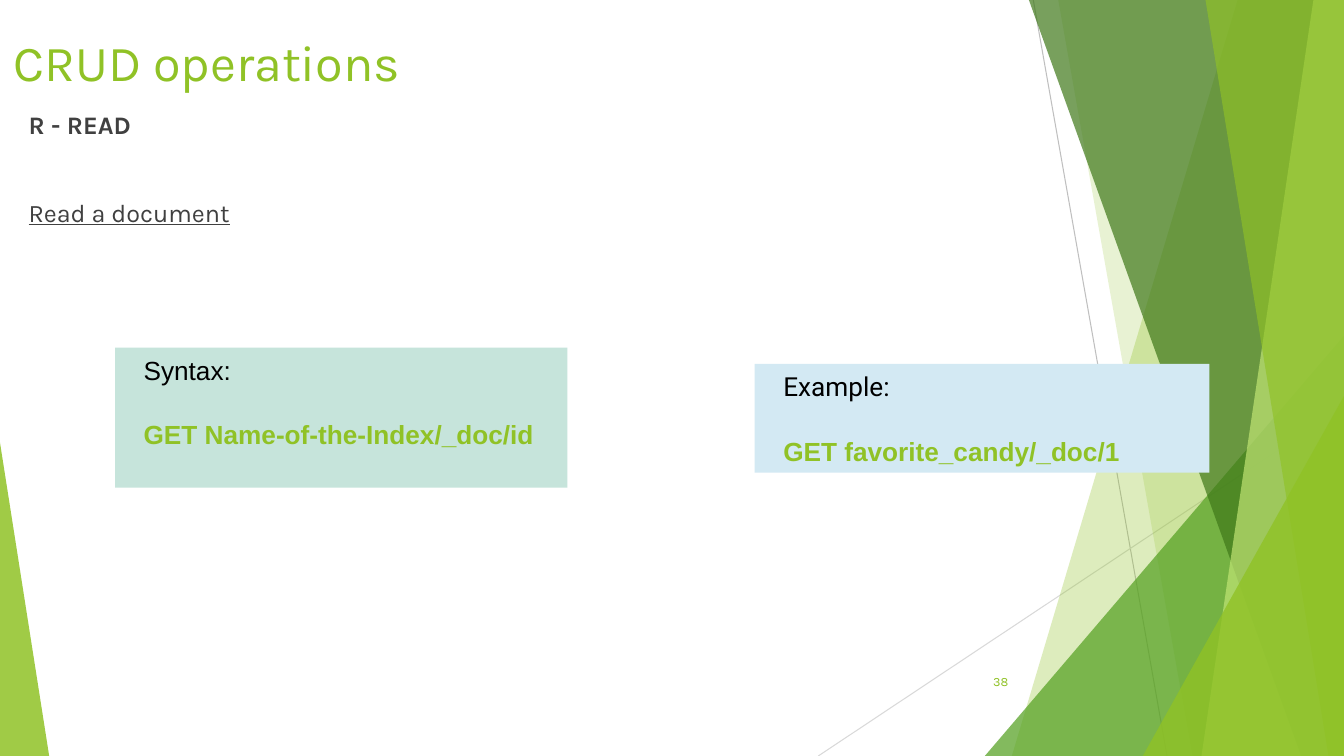
import pptx
import pptx.dml.color
import pptx.enum.shapes
import pptx.enum.text
import pptx.oxml
import pptx.oxml.ns
import pptx.util

Cm = pptx.util.Cm
Pt = pptx.util.Pt
RGBColor = pptx.dml.color.RGBColor
Anchor = pptx.enum.text.MSO_ANCHOR
Align = pptx.enum.text.PP_ALIGN
Preset = pptx.enum.shapes.MSO_SHAPE

WIDTH, HEIGHT = 33.87, 19.05
LIME = RGBColor(0x90, 0xC2, 0x26)
PALE_LIME = RGBColor(0xC0, 0xE4, 0x74)
GREEN = RGBColor(0x54, 0xA0, 0x21)
DARK_GREEN = RGBColor(0x3F, 0x78, 0x19)
BLUE = RGBColor(0xD3, 0xE9, 0xF3)
MINT = RGBColor(0xC6, 0xE4, 0xDB)
GRAY = RGBColor(0xBF, 0xBF, 0xBF)
LIGHT_GRAY = RGBColor(0xD9, 0xD9, 0xD9)
CHARCOAL = RGBColor(0x40, 0x40, 0x40)
BLACK = RGBColor(0, 0, 0)


class SlideBuilder:
    font = "Karla"
    margin = 0.34
    indent = 0.38

    def __init__(self, slide):
        self.slide = slide
        self.shapes = slide.shapes

    def paint(self, shape, color, opacity=100):
        shape.shadow.inherit = False
        shape.line.fill.background()
        shape.fill.solid()
        shape.fill.fore_color.rgb = color
        if opacity < 100:
            fill = shape._element.spPr.find(pptx.oxml.ns.qn("a:solidFill"))
            alpha = pptx.oxml.parse_xml(
                f'<a:alpha {pptx.oxml.ns.nsdecls("a")} val="{opacity * 1000}"/>')
            fill[0].append(alpha)

    def line(self, start_x, start_y, end_x, end_y, color):
        connector = self.shapes.add_connector(
            pptx.enum.shapes.MSO_CONNECTOR.STRAIGHT,
            Cm(start_x), Cm(start_y), Cm(end_x), Cm(end_y))
        connector.line.color.rgb = color
        connector.line.width = Pt(0.75)
        connector._element.spPr.append(pptx.oxml.parse_xml(
            f'<a:effectLst {pptx.oxml.ns.nsdecls("a")}/>'))

    def band(self, top_left, bottom_left, color, opacity):
        """Full-height band from a slanted left side to the right slide edge."""
        builder = self.shapes.build_freeform(Cm(top_left), 0, scale=1.0)
        corners = [(WIDTH, 0), (WIDTH, HEIGHT), (bottom_left, HEIGHT)]
        builder.add_line_segments([(Cm(x), Cm(y)) for x, y in corners])
        self.paint(builder.convert_to_shape(), color, opacity)

    def wedge(self, left, top, right, apex, color, opacity):
        """Right triangle standing on the bottom slide edge."""
        shape = self.shapes.add_shape(
            Preset.ISOSCELES_TRIANGLE,
            Cm(left), Cm(top), Cm(right - left), Cm(HEIGHT - top))
        shape.adjustments[0] = apex
        self.paint(shape, color, opacity)

    def text(self, box, paragraphs, anchor=Anchor.TOP):
        shape = self.shapes.add_textbox(*map(Cm, box))
        self.fill_text(shape, paragraphs, anchor, self.margin)

    def panel(self, box, color, paragraphs):
        shape = self.shapes.add_shape(Preset.RECTANGLE, *map(Cm, box))
        self.paint(shape, color)
        self.fill_text(shape, paragraphs, Anchor.TOP, self.margin / 2)

    def fill_text(self, shape, paragraphs, anchor, vertical_margin):
        frame = shape.text_frame
        frame.word_wrap = True
        frame.vertical_anchor = anchor
        frame.margin_left = frame.margin_right = Cm(self.margin)
        frame.margin_top = frame.margin_bottom = Cm(vertical_margin)
        for index, (text, font, layout) in enumerate(paragraphs):
            paragraph = frame.add_paragraph() if index else frame.paragraphs[0]
            layout = {"alignment": Align.LEFT, "indent": self.indent, **layout}
            indent = layout.pop("indent")
            properties = paragraph._p.get_or_add_pPr()
            properties.set("marL", str(int(Cm(indent))))
            properties.set("indent", "0")
            for name, value in layout.items():
                setattr(paragraph, name, value)
            run = paragraph.add_run()
            run.text = text
            font = {"name": self.font, **font}
            run.font.color.rgb = font.pop("color")
            for name, value in font.items():
                setattr(run.font, name, value)


def main():
    presentation = pptx.Presentation()
    presentation.slide_width = Cm(WIDTH)
    presentation.slide_height = Cm(HEIGHT)
    slide = presentation.slides.add_slide(presentation.slide_layouts[6])
    builder = SlideBuilder(slide)

    # Background facets
    builder.line(26.04, 0, 29.41, HEIGHT, GRAY)
    builder.line(WIDTH, 10.24, 20.62, HEIGHT, LIGHT_GRAY)
    builder.band(31.19, 25.5, LIME, 30)
    builder.band(26.67, 30.05, LIME, 20)
    builder.wedge(24.82, 8.46, WIDTH, 1, GREEN, 72)
    builder.band(25.93, 32.79, DARK_GREEN, 70)
    builder.band(33.1, 30.28, PALE_LIME, 70)
    builder.band(30.38, 33.48, LIME, 65)
    builder.wedge(28.8, 9.98, WIDTH, 1, LIME, 80)
    builder.wedge(0, 11.15, 1.24, 0, LIME, 85)

    # Slide number, title and body
    builder.text((23.85, 16.79, 1.9, 1.02), [
        ("38", {"size": Pt(9), "color": LIME},
         {"alignment": Align.RIGHT, "indent": 0})])
    builder.text((0, 0, 25.91, 2.64), [
        ("CRUD operations", {"size": Pt(36), "color": LIME}, {"indent": 0})],
        Anchor.BOTTOM)
    body = {"size": Pt(18), "color": CHARCOAL}
    builder.text((0, 2.41, 25.91, 12.73), [
        ("R - READ", {**body, "bold": True}, {"space_before": Pt(10)}),
        ("Read a document", {**body, "underline": True},
         {"space_before": Pt(41.5)})])

    # Example and syntax panels
    panels = [
        ((19.02, 9.17, 11.46, 2.74), BLUE, "Example:", "Roboto",
         "GET favorite_candy/_doc/1"),
        ((2.9, 8.76, 11.4, 3.53), MINT, "Syntax:", "Arial",
         "GET Name-of-the-Index/_doc/id"),
    ]
    for box, color, label, label_font, request in panels:
        size = Pt(18.7)
        builder.panel(box, color, [
            (label, {"name": label_font, "size": size, "color": BLACK}, {}),
            (request, {"name": "Arial", "size": size, "color": LIME,
                       "bold": True}, {"space_before": Pt(23.5)})])

    presentation.save("out.pptx")


if __name__ == "__main__":
    main()
